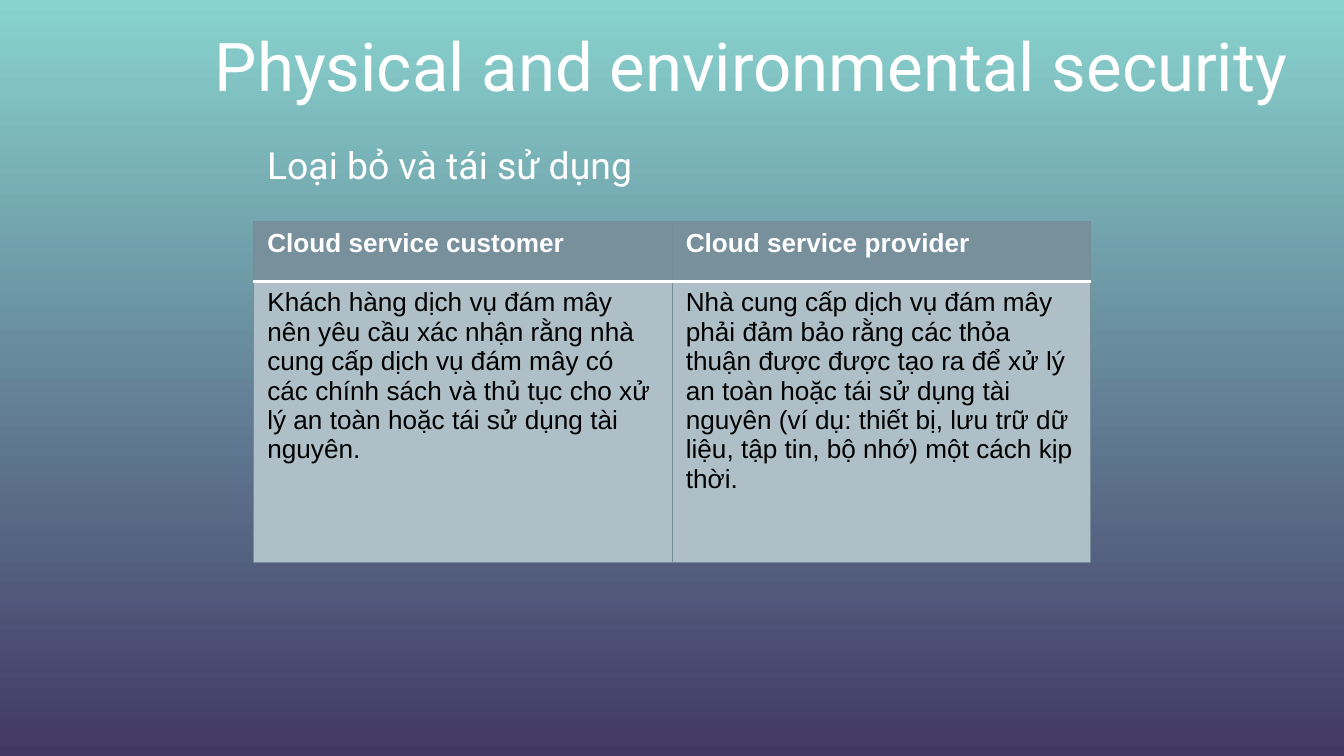
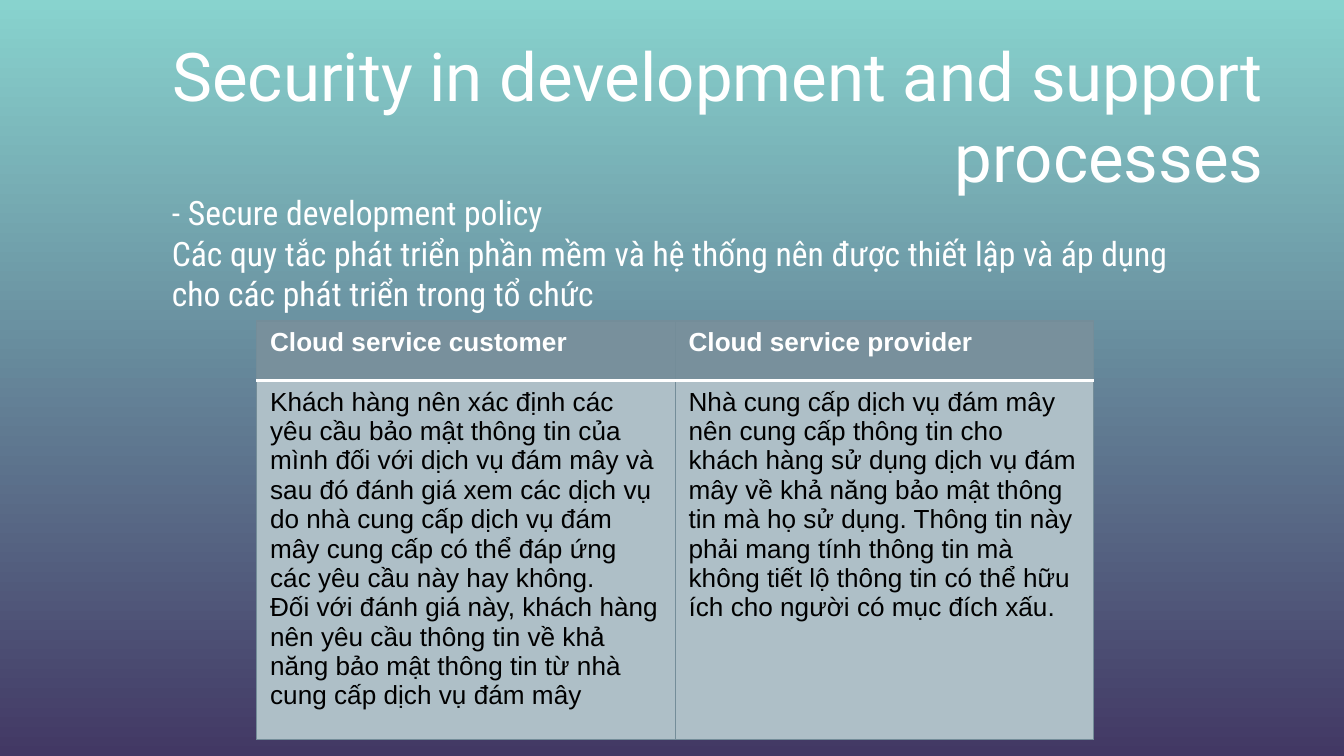
from dataclasses import dataclass

from pptx import Presentation
from pptx.dml.color import RGBColor
from pptx.enum.text import MSO_ANCHOR, PP_ALIGN
from pptx.oxml import parse_xml
from pptx.oxml.ns import nsdecls
from pptx.util import Pt


@dataclass(frozen=True)
class Theme:
    sky: str = "88D3CE"
    dusk: str = "423864"
    white: str = "FFFFFF"
    black: str = "000000"
    header: str = "78909C"
    body: str = "AEBFC7"
    border: str = "748D99"
    title_font: str = "Roboto"
    table_font: str = "Arial"
    title_size: int = 36
    table_size: int = 14
    border_width: float = 0.75
    rule_width: float = 2


THEME = Theme()

# Content
HEADERS = ["Cloud service customer", "Cloud service provider"]
SLIDES = [
    {
        "title": "Physical and environmental security",
        "title_at": (52.6, 8.6),
        "lead": ["Loại bỏ và tái sử dụng"],
        "lead_box": (136, 72.7, 371.5, 31.7),
        "lead_font": ("Roboto", 20),
        "table_at": (136, 118.8),
        "body_height": 150.6,
        "cells": [
            ["Khách hàng dịch vụ đám mây nên yêu cầu xác nhận rằng nhà cung cấp "
             "dịch vụ đám mây có các chính sách và thủ tục cho xử lý an toàn "
             "hoặc tái sử dụng tài nguyên."],
            ["Nhà cung cấp dịch vụ đám mây phải đảm bảo rằng các thỏa thuận được "
             "được tạo ra để xử lý an toàn hoặc tái sử dụng tài nguyên (ví dụ: "
             "thiết bị, lưu trữ dữ liệu, tập tin, bộ nhớ) một cách kịp thời."],
        ],
    },
    {
        "title": "Security in development and support processes",
        "title_at": (39.6, 35.3),
        "lead": [
            "- Secure development policy",
            "Các quy tắc phát triển phần mềm và hệ thống nên được thiết lập và "
            "áp dụng cho các phát triển trong tổ chức",
        ],
        "lead_box": (85, 99.4, 550, 72.7),
        "lead_font": ("Roboto Condensed", 18),
        "table_at": (137.5, 172),
        "body_height": 192,
        "cells": [
            ["Khách hàng nên xác định các yêu cầu bảo mật thông tin của mình đối "
             "với dịch vụ đám mây và sau đó đánh giá xem các dịch vụ do nhà cung "
             "cấp dịch vụ đám mây cung cấp có thể đáp ứng các yêu cầu này hay "
             "không.",
             "Đối với đánh giá này, khách hàng nên yêu cầu thông tin về khả năng "
             "bảo mật thông tin từ nhà cung cấp dịch vụ đám mây"],
            ["Nhà cung cấp dịch vụ đám mây nên cung cấp thông tin cho khách hàng "
             "sử dụng dịch vụ đám mây về khả năng bảo mật thông tin mà họ sử "
             "dụng. Thông tin này phải mang tính thông tin mà không tiết lộ "
             "thông tin có thể hữu ích cho người có mục đích xấu."],
        ],
    },
]

# Shared layout
SLIDE_SIZE = (720, 405)
TITLE_SIZE = (644.4, 52.6)
COLUMN_WIDTH = 224.2
HEADER_HEIGHT = 32


def rgb(value):
    return RGBColor.from_string(value)


def write(tf, lines, font, size, color, bold=False, align=PP_ALIGN.LEFT):
    tf.word_wrap = True
    for i, line in enumerate(lines):
        p = tf.paragraphs[0] if i == 0 else tf.add_paragraph()
        p.text = line
        p.alignment = align
        p.font.name = font
        p.font.size = Pt(size)
        p.font.bold = bold
        p.font.color.rgb = rgb(color)


def add_background(s):
    fill = s.background.fill
    fill.gradient()
    fill.gradient_angle = 270
    for stop, color in zip(fill.gradient_stops, (THEME.sky, THEME.dusk)):
        stop.color.rgb = rgb(color)


def add_title(s, text, at):
    tf = s.shapes.add_textbox(*map(Pt, at + TITLE_SIZE)).text_frame
    tf.margin_left = tf.margin_right = tf.margin_top = tf.margin_bottom = Pt(7.2)
    tf.vertical_anchor = MSO_ANCHOR.MIDDLE
    write(tf, [text], THEME.title_font, THEME.title_size, THEME.white,
          align=PP_ALIGN.RIGHT)


def add_borders(cell, rule_side):
    """Outline a cell, with the white rule on the side between header and body."""
    tcPr = cell._tc.get_or_add_tcPr()
    for side in "LRTB":
        is_rule = side == rule_side
        color = THEME.white if is_rule else THEME.border
        width = Pt(THEME.rule_width if is_rule else THEME.border_width)
        tcPr.append(parse_xml(
            f'<a:ln{side} {nsdecls("a")} w="{width}"><a:solidFill>'
            f'<a:srgbClr val="{color}"/></a:solidFill></a:ln{side}>'))


def add_comparison(s, at, body_height, cells):
    heights = (HEADER_HEIGHT, body_height)
    size = (COLUMN_WIDTH * len(HEADERS), sum(heights))
    table = s.shapes.add_table(2, len(HEADERS), *map(Pt, at + size)).table
    table.horz_banding = False
    for row, height in zip(table.rows, heights):
        row.height = Pt(height)
    for column in table.columns:
        column.width = Pt(COLUMN_WIDTH)

    rows = [
        ([[h] for h in HEADERS], THEME.header, THEME.white, True, "B"),
        (cells, THEME.body, THEME.black, False, "T"),
    ]
    for r, (texts, fill, color, bold, rule_side) in enumerate(rows):
        for c, lines in enumerate(texts):
            cell = table.cell(r, c)
            add_borders(cell, rule_side)
            cell.fill.solid()
            cell.fill.fore_color.rgb = rgb(fill)
            write(cell.text_frame, lines, THEME.table_font, THEME.table_size,
                  color, bold)


def main():
    prs = Presentation()
    prs.slide_width, prs.slide_height = map(Pt, SLIDE_SIZE)
    for item in SLIDES:
        s = prs.slides.add_slide(prs.slide_layouts[6])
        add_background(s)
        add_title(s, item["title"], item["title_at"])
        add_comparison(s, item["table_at"], item["body_height"], item["cells"])
        # Lead text above the table
        lead = s.shapes.add_textbox(*map(Pt, item["lead_box"]))
        write(lead.text_frame, item["lead"], *item["lead_font"], THEME.white)
    prs.save("out.pptx")


if __name__ == "__main__":
    main()
